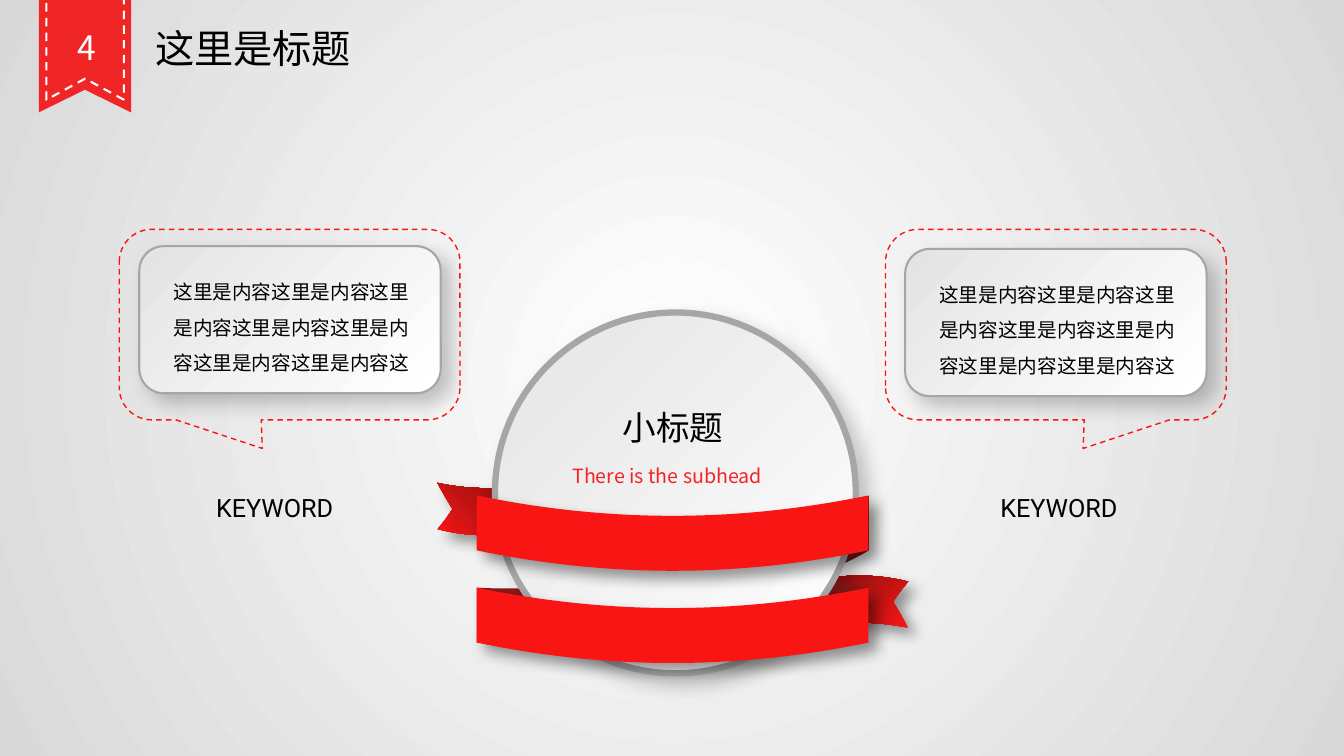
from lxml.etree import SubElement
from pptx import Presentation
from pptx.dml.color import RGBColor as RGB
from pptx.enum.dml import MSO_LINE_DASH_STYLE as DASH
from pptx.enum.shapes import MSO_SHAPE as SHAPE
from pptx.enum.text import MSO_ANCHOR as ANCHOR, MSO_AUTO_SIZE as AUTO, PP_ALIGN as ALIGN
from pptx.oxml.ns import qn
from pptx.util import Inches, Pt

CELL = Inches(0.1)
COLS, ROWS = 133.33, 75
STEPS = 20

WHITE = RGB(0xFF, 0xFF, 0xFF)
BLACK = RGB(0x00, 0x00, 0x00)
PALE = RGB(0xE4, 0xE4, 0xE4)
SMOKE = RGB(0xD9, 0xD9, 0xD9)
GREY = RGB(0xA6, 0xA6, 0xA6)
FLAG = RGB(0xF0, 0x25, 0x25)
RED = RGB(0xFA, 0x15, 0x15)
ROSE = RGB(0xF2, 0x24, 0x24)
WINE = RGB(0x80, 0x0D, 0x0D)
BRICK = RGB(0xB6, 0x13, 0x13)
FOLD = RGB(0x8D, 0x19, 0x19)

SANS, HEAD, LATIN = "Noto Sans CJK SC", "Noto Sans CJK JP", "Roboto"
DEEP = (40, 10, 8)
SOFT = (22, 14, 9)
BODY = "这里是内容" * 7 + "这"

TAIL = [(80.5, 57.7), (83.6, 56.9, 86.9, 56.9, 90.1, 57.7),
        (89.5, 58.4, 89.2, 58.8, 88.6, 59.7), (89.2, 60.7, 89.5, 61.2, 90.1, 62.3),
        (86.9, 61.6, 83.6, 61.6, 80.5, 62.3)]
RIGHT = [(86.2, 58.3), (86.2, 58.3, 84.1, 57.9, 83, 57.7),
         (82, 57.6, 80.5, 57.7, 80.5, 57.7), (80.5, 60.8)]
CROSS = [(47.3, 63.8), (47.3, 58.3), (47.3, 58.3, 68.8, 59.9, 86.2, 49.2),
         (86.2, 54.6), (86.2, 54.6, 75.9, 61.4, 47.3, 63.8)]
LEFT = [(47.3, 49.2), (47.3, 49.2, 48.9, 51.6, 50.2, 52),
        (51.8, 52.5, 53, 52.5, 53, 52.5), (53, 47.9),
        (53, 47.9, 52.1, 48.6, 50, 49), (48.2, 49.4, 47.3, 49.2, 47.3, 49.2)]


def grid(*cells):
    return [int(round(c * CELL)) for c in cells]


def spin(path):
    return [tuple(m - v for v, m in zip(seg, (133.5, 110.2) * 3)) for seg in path]


def band(top):
    low = top + 5.45
    return [(47.3, top), (60.3, top + 2.7, 73.1, top + 2.7, 86.15, top),
            (86.15, low), (73.1, low + 2.7, 60.3, low + 2.7, 47.3, low)]


def notch(left, right, top, low, peak):
    return [(right, low), ((left + right) / 2, peak), (left, low), (left, top), (right, top)]


def bounds(path):
    dots = [path[0]]
    for seg in path[1:]:
        ends = [dots[-1], seg[:2], seg[2:4], seg[4:]]
        for i in range(1, STEPS if len(seg) == 6 else 0):
            t = i / STEPS
            mix = ((1 - t) ** 3, 3 * t * (1 - t) ** 2, 3 * t * t * (1 - t), t ** 3)
            dots.append(tuple(sum(m * e[k] for m, e in zip(mix, ends)) for k in (0, 1)))
        dots.append(seg[-2:])
    xs, ys = zip(*dots)
    return grid(min(xs), min(ys), max(xs), max(ys))


def blend(host, hues, focus=None):
    old = next(host.iter(qn("a:noFill")))
    grad = old.makeelement(qn("a:gradFill"), {"rotWithShape": "1"})
    old.getparent().replace(old, grad)
    stops = SubElement(grad, qn("a:gsLst"))
    for i, hue in enumerate(hues):
        stop = SubElement(stops, qn("a:gs"), pos=str(i * 100000 // (len(hues) - 1)))
        SubElement(stop, qn("a:srgbClr"), val=str(hue))
    if focus is None:
        SubElement(grad, qn("a:lin"), ang="2700000", scaled="0")
    else:
        way = SubElement(grad, qn("a:path"), path="circle")
        SubElement(way, qn("a:fillToRect"),
                   {side: str(v * 1000) for side, v in zip("ltrb", focus)})


def shade(shape, alpha, blur, dist):
    box = shape._element.spPr.find(qn("a:effectLst"))
    cast = SubElement(box, qn("a:outerShdw"), blurRad=str(Pt(blur)), dist=str(Pt(dist)),
                      dir="2700000", algn="tl", rotWithShape="0")
    hue = SubElement(cast, qn("a:srgbClr"), val=str(BLACK))
    SubElement(hue, qn("a:alpha"), val=str(alpha * 1000))


def style(shape, fill=None, focus=None, line=None, width=1, dash=False, cast=None):
    shape.shadow.inherit = False
    if isinstance(fill, RGB):
        shape.fill.solid()
        shape.fill.fore_color.rgb = fill
    else:
        shape.fill.background()
        if fill:
            blend(shape._element.spPr, fill, focus)
    if line is None:
        shape.line.fill.background()
    else:
        shape.line.color.rgb = line
        shape.line.width = Pt(width)
        if dash:
            shape.line.dash_style = DASH.DASH
    if cast:
        shade(shape, *cast)


def draw(shapes, path, **look):
    x, y, right, low = bounds(path)
    pen = shapes.build_freeform(x, y, scale=1.0)
    pen.add_line_segments([(right, y), (right, low), (x, low)], close=True)
    shape = pen.convert_to_shape()
    track = next(shape._element.iter(qn("a:path")))
    for step in list(track):
        track.remove(step)
    for i, seg in enumerate(path):
        kind = "a:moveTo" if i == 0 else "a:cubicBezTo" if len(seg) == 6 else "a:lnTo"
        step = SubElement(track, qn(kind))
        spots = grid(*seg)
        for px, py in zip(spots[::2], spots[1::2]):
            SubElement(step, qn("a:pt"), x=str(px - x), y=str(py - y))
    SubElement(track, qn("a:close"))
    style(shape, **look)


def form(shapes, kind, cells, adjust=(), flip=False, **look):
    shape = shapes.add_shape(kind, *grid(*cells))
    for i, v in enumerate(adjust):
        shape.adjustments[i] = v
    if flip:
        shape._element.spPr.find(qn("a:xfrm")).set("flipH", "1")
    style(shape, **look)


def write(box, text, size, face, hue=BLACK, align=ALIGN.CENTER, space=None):
    frame = box.text_frame
    frame.word_wrap = True
    frame.auto_size = AUTO.SHAPE_TO_FIT_TEXT
    frame.vertical_anchor = ANCHOR.TOP
    frame.text = text
    para = frame.paragraphs[0]
    para.alignment = align
    if space:
        para.line_spacing = space
    font = para.font
    font.size, font.name, font.color.rgb = Pt(size), face, hue
    rule = para._p.pPr.find(qn("a:defRPr"))
    SubElement(rule, qn("a:ea"), typeface=face)


def label(shapes, cells, *args, **opts):
    write(shapes.add_textbox(*grid(*cells)), *args, **opts)


def header(slide):
    flag = slide.shapes.add_group_shape().shapes
    draw(flag, notch(3.85, 13, -23.8, 11.15, 8.9), fill=FLAG)
    draw(flag, notch(4.6, 12.3, -22.8, 9.9, 7.8), line=WHITE, width=1.5, dash=True)
    label(slide.shapes, (5.35, 2.2, 6.5, 5), "4", 24, SANS, WHITE)
    title = slide.shapes.title
    title.left, title.top, title.width, title.height = grid(14.4, 1.9, 24.8, 5.7)
    write(title, "这里是标题", 28, HEAD, align=ALIGN.LEFT)


def badge(shapes):
    tail = (WINE, BRICK, RED)
    draw(shapes, TAIL, fill=tail, focus=(0, 0, 100, 100), cast=DEEP)
    for fold in (RIGHT, CROSS, LEFT):
        draw(shapes, fold, fill=FOLD)
    draw(shapes, spin(TAIL), fill=tail, focus=(100, 0, 0, 100), cast=DEEP)
    form(shapes, SHAPE.OVAL, (49.1, 31, 35.8, 35.8), fill=(PALE, WHITE),
         line=GREY, width=4.5, cast=SOFT)
    for top in (58.3, 49.15):
        draw(shapes, band(top), fill=RED, cast=DEEP)
    label(shapes, (56.7, 39.9, 20.1, 5), "小标题", 24, HEAD)
    label(shapes, (54.85, 45.5, 22.7, 3.4), "There is the subhead", 14, SANS, ROSE)


def bubble(shapes, left, flip):
    form(shapes, SHAPE.ROUNDED_RECTANGULAR_CALLOUT, (left, 22.75, 33.8, 18.9),
         (-0.08, 0.65, 0.17), flip, line=RED, dash=True)


def card(shapes, left, top):
    form(shapes, SHAPE.ROUNDED_RECTANGLE, (left, top, 29.9, 14.6),
         fill=(PALE, WHITE), line=GREY, width=1.5, cast=SOFT)
    label(shapes, (left + 2.4, top + 1.72, 26.6, 11.6), BODY, 14, SANS,
          align=ALIGN.LEFT, space=1.5)


def main():
    deck = Presentation()
    deck.slide_width, deck.slide_height = grid(COLS, ROWS)
    slide = deck.slides.add_slide(deck.slide_layouts[5])
    slide.background.fill.background()
    blend(slide._element.cSld, (WHITE, SMOKE), (50, 50, 50, 50))
    header(slide)
    shapes = slide.shapes
    badge(shapes)
    for left, flip in ((11.83, False), (87.85, True)):
        bubble(shapes, left, flip)
    for left, top in ((13.82, 24.42), (89.8, 24.7)):
        card(shapes, left, top)
    for left in (14.4, 92.2):
        label(shapes, (left, 48.35, 25.7, 4), "KEYWORD", 18, LATIN)
    deck.save("out.pptx")


if __name__ == "__main__":
    main()
